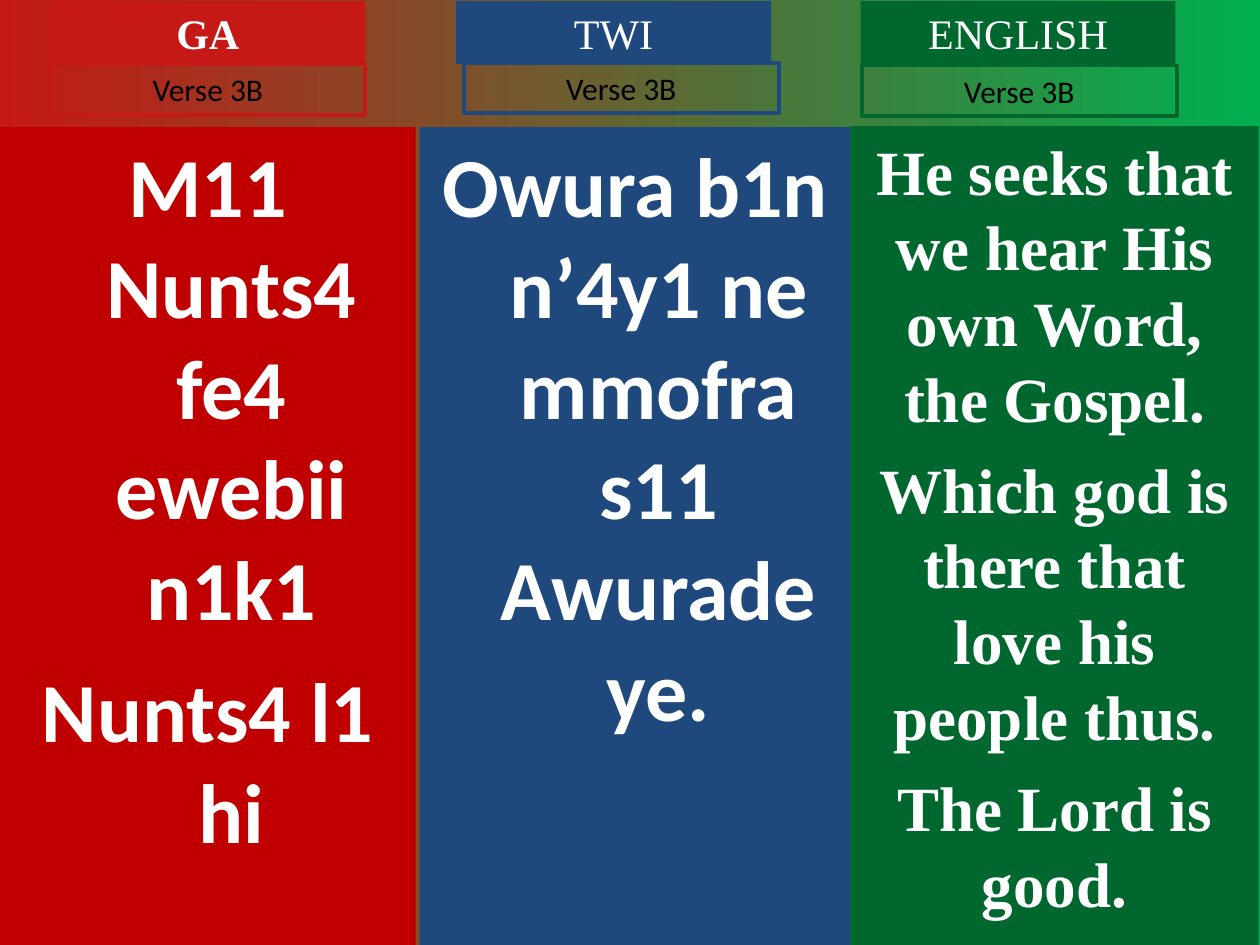
from pptx import Presentation
from pptx.dml.color import RGBColor
from pptx.enum.shapes import MSO_SHAPE
from pptx.enum.text import MSO_ANCHOR, PP_ALIGN
from pptx.util import Pt

COLORS = {
    "red": "C51915",
    "deep_red": "C00000",
    "blue": "1F497D",
    "green": "00682F",
    "bright_green": "00B050",
    "white": "FFFFFF",
    "black": "000000",
}
SERIF, SANS = "Times New Roman", "Calibri"
TAB_WIDTH, TAB_HEIGHT, VERSE_HEIGHT = 180, 36, 28.8
LINE_FACTOR = 1.2

# Each box is (left, top, width, height); tab and verse give left and top
COLUMNS = [
    {
        "language": "GA", "accent": "red", "tab": (28.8, 0.72), "tab_bold": True,
        "verse": (28.8, 36.72),
        "body": (0, 72.72, 237.6, 467.28), "body_fill": "deep_red",
        "lines": ["M11 Nunts4 fe4 ewebii n1k1", "Nunts4 l1 hi"],
        "style": {"font": SANS, "size": 48, "space": 12, "hanging": 27},
    },
    {
        "language": "TWI", "accent": "blue", "tab": (260.64, 0.72), "tab_bold": False,
        "verse": (264.96, 36),
        "body": (239.76, 72.72, 246.24, 467.28), "body_fill": "blue",
        "lines": ["Owura b1n n’4y1 ne mmofra s11 Awurade ye."],
        "style": {"font": SANS, "size": 48, "space": 12, "hanging": 27},
    },
    {
        "language": "ENGLISH", "accent": "green", "tab": (491.76, 0.72), "tab_bold": False,
        "verse": (492.48, 37.44),
        "body": (486, 72, 233.28, 468.72), "body_fill": "green",
        "lines": [
            "He seeks that we hear His own Word, the Gospel.",
            "Which god is there that love his people thus.",
            "The Lord is good.",
        ],
        "style": {"font": SERIF, "size": 36, "space": 9},
    },
]


def rgb(name):
    return RGBColor.from_string(COLORS[name])


def add_box(slide, box, fill=None, outline=None):
    shape = slide.shapes.add_shape(MSO_SHAPE.RECTANGLE, *(Pt(value) for value in box))
    shape.shadow.inherit = False
    if fill:
        shape.fill.solid()
        shape.fill.fore_color.rgb = rgb(fill)
    else:
        shape.fill.background()
    if outline:
        shape.line.color.rgb = rgb(outline)
        shape.line.width = Pt(2.25)
    else:
        shape.line.fill.background()
    return shape


def write_text(shape, lines, font, size, color="white", bold=False, space=0, hanging=0):
    text_frame = shape.text_frame
    text_frame.word_wrap = True
    text_frame.vertical_anchor = MSO_ANCHOR.TOP
    text_frame.text = "\n".join(lines)
    for index, paragraph in enumerate(text_frame.paragraphs):
        paragraph.alignment = PP_ALIGN.CENTER
        paragraph.line_spacing = Pt(size * LINE_FACTOR)
        if index:
            paragraph.space_before = Pt(space)
        if hanging:
            properties = paragraph._p.get_or_add_pPr()
            properties.set("marL", str(Pt(hanging)))
            properties.set("indent", str(-Pt(hanging)))
        for run in paragraph.runs:
            run.font.name = font
            run.font.size = Pt(size)
            run.font.bold = bold
            run.font.color.rgb = rgb(color)


def paint_background(slide):
    fill = slide.background.fill
    fill.gradient()
    fill.gradient_angle = 0
    for stop, position, name in zip(fill.gradient_stops, (0, 1), ("red", "bright_green")):
        stop.position = position
        stop.color.rgb = rgb(name)


def add_column(slide, column):
    # Lyrics panel
    body = add_box(slide, column["body"], fill=column["body_fill"])
    write_text(body, column["lines"], bold=True, **column["style"])

    # Language tab
    tab = add_box(slide, (*column["tab"], TAB_WIDTH, TAB_HEIGHT), fill=column["accent"])
    write_text(tab, [column["language"]], SERIF, 24, bold=column["tab_bold"])

    # Outlined verse label
    verse = add_box(slide, (*column["verse"], TAB_WIDTH, VERSE_HEIGHT), outline=column["accent"])
    write_text(verse, ["Verse 3B"], SANS, 18, color="black")


def main():
    presentation = Presentation()
    presentation.slide_width, presentation.slide_height = Pt(720), Pt(540)
    slide = presentation.slides.add_slide(presentation.slide_layouts[6])
    paint_background(slide)
    for column in COLUMNS:
        add_column(slide, column)
    presentation.save("out.pptx")


if __name__ == "__main__":
    main()
